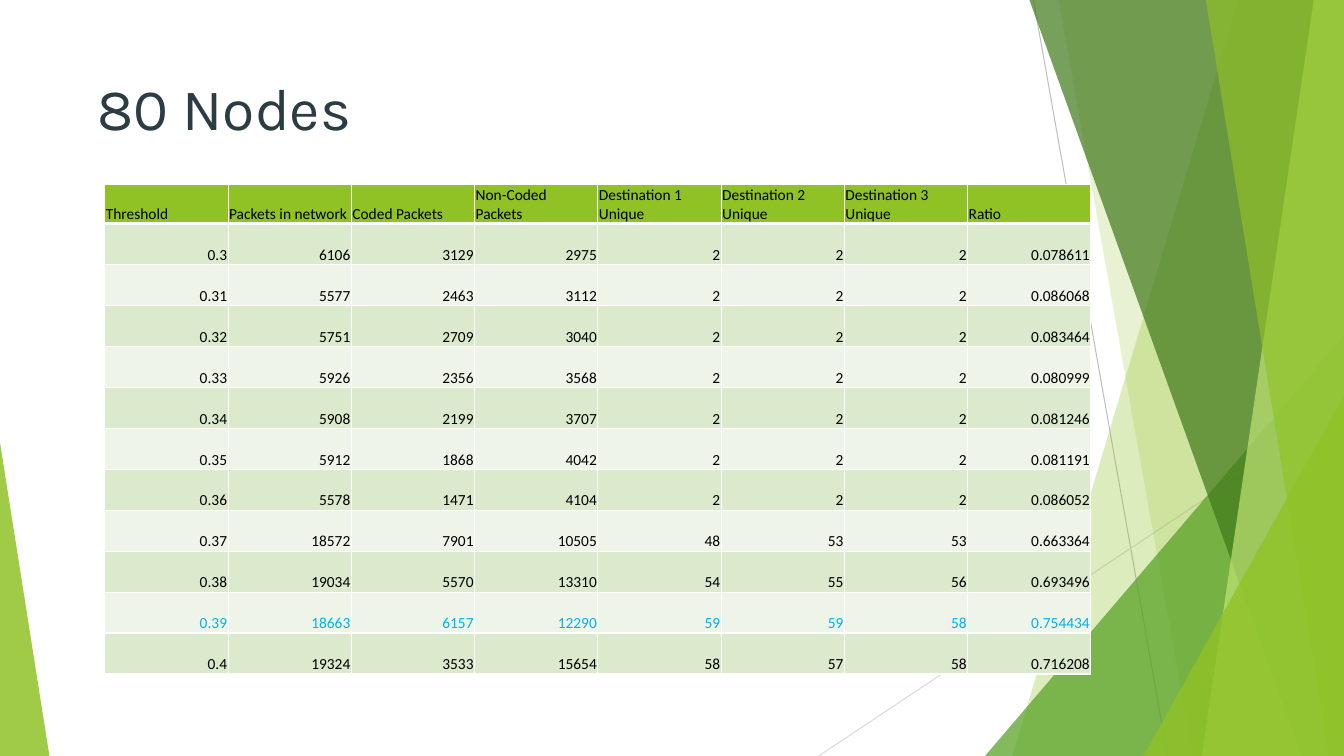
from lxml.etree import SubElement
from pptx import Presentation
from pptx.dml.color import RGBColor
from pptx.enum.shapes import MSO_CONNECTOR, MSO_SHAPE
from pptx.enum.text import MSO_ANCHOR, PP_ALIGN
from pptx.oxml.ns import qn
from pptx.util import Inches, Pt

GREEN = "90C226"
WHITE = "FFFFFF"
BAND_FILLS = ["DBE9CD", "EEF4E8"]
HIGHLIGHTED_THRESHOLD = "0.39"
HEADER_HEIGHT = 0.37
TABLE_HEIGHT = 4.84

HEADERS = [
    "Threshold", "Packets in network", "Coded Packets", "Non-Coded Packets",
    "Destination 1 Unique", "Destination 2 Unique", "Destination 3 Unique", "Ratio",
]
RESULTS = [
    ["0.3", "6106", "3129", "2975", "2", "2", "2", "0.078611"],
    ["0.31", "5577", "2463", "3112", "2", "2", "2", "0.086068"],
    ["0.32", "5751", "2709", "3040", "2", "2", "2", "0.083464"],
    ["0.33", "5926", "2356", "3568", "2", "2", "2", "0.080999"],
    ["0.34", "5908", "2199", "3707", "2", "2", "2", "0.081246"],
    ["0.35", "5912", "1868", "4042", "2", "2", "2", "0.081191"],
    ["0.36", "5578", "1471", "4104", "2", "2", "2", "0.086052"],
    ["0.37", "18572", "7901", "10505", "48", "53", "53", "0.663364"],
    ["0.38", "19034", "5570", "13310", "54", "55", "56", "0.693496"],
    ["0.39", "18663", "6157", "12290", "59", "59", "58", "0.754434"],
    ["0.4", "19324", "3533", "15654", "58", "57", "58", "0.716208"],
]


def color(hex_value):
    return RGBColor.from_string(hex_value)


def write_text(text_frame, text, font, size, hex_value, align=PP_ALIGN.LEFT):
    paragraph = text_frame.paragraphs[0]
    paragraph.alignment = align
    run = paragraph.add_run()
    run.text = text
    run.font.name = font
    run.font.size = Pt(size)
    run.font.color.rgb = color(hex_value)


def paint(shape, hex_value, opacity):
    shape.shadow.inherit = False
    shape.line.fill.background()
    shape.fill.solid()
    shape.fill.fore_color.rgb = color(hex_value)
    fill_color = shape.fill._xPr.find(qn("a:solidFill"))[0]
    SubElement(fill_color, qn("a:alpha"), val=str(opacity * 1000))


def add_thin_line(slide, start, end, hex_value):
    points = [Inches(value) for value in start + end]
    line = slide.shapes.add_connector(MSO_CONNECTOR.STRAIGHT, *points)
    line.line.color.rgb = color(hex_value)
    line.line.width = Pt(0.75)
    SubElement(line.element.spPr, qn("a:effectLst"))


def add_shard(slide, top_left, bottom_left, hex_value, opacity):
    corners = [(top_left, 0), (13.33, 0), (13.33, 7.5), (bottom_left, 7.5)]
    points = [(Inches(x), Inches(y)) for x, y in corners]
    builder = slide.shapes.build_freeform(*points[0])
    builder.add_line_segments(points[1:], close=True)
    paint(builder.convert_to_shape(), hex_value, opacity)


def add_triangle(slide, left, top, width, apex, hex_value, opacity):
    triangle = slide.shapes.add_shape(
        MSO_SHAPE.ISOSCELES_TRIANGLE,
        Inches(left), Inches(top), Inches(width), Inches(7.5 - top),
    )
    triangle.adjustments[0] = apex
    paint(triangle, hex_value, opacity)


def add_decoration(slide):
    add_thin_line(slide, (10.25, 0), (11.58, 7.5), "BFBFBF")
    add_thin_line(slide, (13.33, 4.03), (8.12, 7.5), "D9D9D9")
    add_shard(slide, 12.28, 10.04, GREEN, 30)
    add_shard(slide, 10.5, 11.83, GREEN, 20)
    add_triangle(slide, 9.77, 3.33, 3.56, 1, "54A021", 72)
    add_shard(slide, 10.21, 12.91, "3F7819", 70)
    add_shard(slide, 13.03, 11.92, "C0E474", 70)
    add_shard(slide, 11.96, 13.18, GREEN, 65)
    add_triangle(slide, 11.34, 3.93, 1.99, 1, GREEN, 80)
    add_triangle(slide, 0, 4.39, 0.49, 0, GREEN, 85)


def add_border(cell, side, width):
    properties = cell._tc.get_or_add_tcPr()
    border = SubElement(properties, qn(f"a:ln{side}"), w=str(Pt(width)))
    fill = SubElement(border, qn("a:solidFill"))
    SubElement(fill, qn("a:srgbClr"), val=WHITE)


def format_cell(cell, text, row_index, hex_value):
    is_header = row_index == 0
    cell.margin_left = cell.margin_right = cell.margin_top = Inches(0.01)
    cell.margin_bottom = 0
    cell.vertical_anchor = MSO_ANCHOR.BOTTOM
    add_border(cell, "L", 1)
    add_border(cell, "R", 1)
    add_border(cell, "T", 3 if row_index == 1 else 1)
    add_border(cell, "B", 3 if is_header else 1)
    cell.fill.solid()
    fill = GREEN if is_header else BAND_FILLS[(row_index - 1) % 2]
    cell.fill.fore_color.rgb = color(fill)
    align = PP_ALIGN.LEFT if is_header else PP_ALIGN.RIGHT
    write_text(cell.text_frame, text, "Calibri", 11, hex_value, align)


def add_results_table(slide):
    rows = [HEADERS] + RESULTS
    table = slide.shapes.add_table(
        len(rows), len(HEADERS),
        Inches(1.04), Inches(1.83), Inches(9.78), Inches(TABLE_HEIGHT),
    ).table
    table.first_row = False
    table.horz_banding = False
    body_height = (TABLE_HEIGHT - HEADER_HEIGHT) / len(RESULTS)
    for row_index, values in enumerate(rows):
        height = body_height if row_index else HEADER_HEIGHT
        table.rows[row_index].height = Inches(height)
        highlighted = values[0] == HIGHLIGHTED_THRESHOLD
        text_color = "00B0F0" if highlighted else "000000"
        for column_index, text in enumerate(values):
            cell = table.cell(row_index, column_index)
            format_cell(cell, text, row_index, text_color)


def place_title(slide, text):
    title = slide.shapes.title
    title.left, title.top = Inches(0.87), Inches(0.66)
    title.width, title.height = Inches(10.29), Inches(1.53)
    title.text_frame.vertical_anchor = MSO_ANCHOR.TOP
    title.text_frame.word_wrap = True
    write_text(title.text_frame, text, "Karla", 42, "2C3C43")
    title.element.getparent().append(title.element)


def main():
    presentation = Presentation()
    presentation.slide_width = Inches(13.33)
    presentation.slide_height = Inches(7.5)
    slide = presentation.slides.add_slide(presentation.slide_layouts[5])
    add_decoration(slide)
    add_results_table(slide)
    place_title(slide, "80 Nodes")
    presentation.save("out.pptx")


if __name__ == "__main__":
    main()
